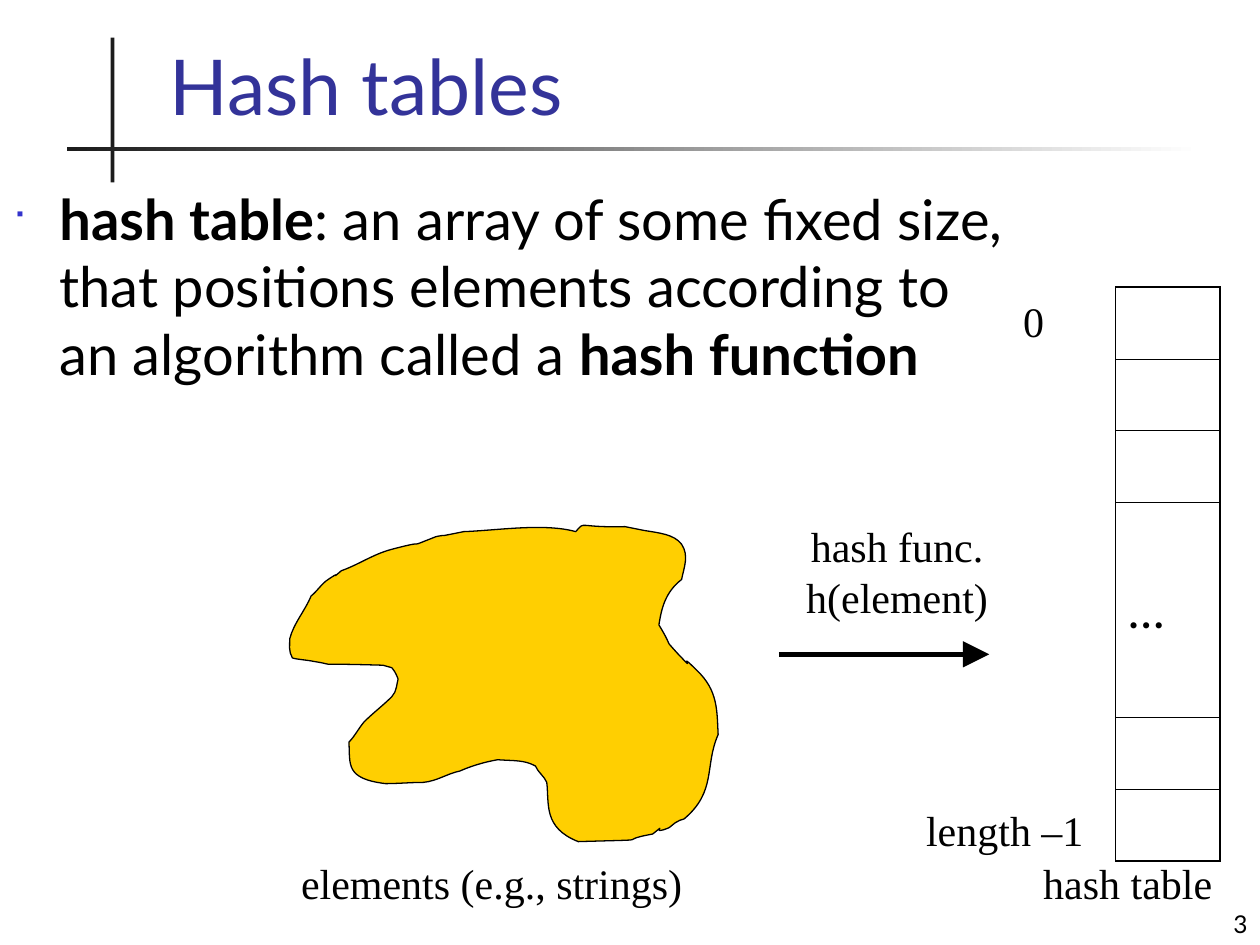
from dataclasses import dataclass

from lxml import etree
from pptx import Presentation
from pptx import util as u
from pptx.dml.color import RGBColor
from pptx.enum import shapes, text
from pptx.oxml.ns import qn

BLACK = RGBColor(0x00, 0x00, 0x00)
WHITE = RGBColor(0xFF, 0xFF, 0xFF)
CHARCOAL = RGBColor(0x1C, 0x1C, 0x1C)
TITLE_BLUE = RGBColor(0x33, 0x33, 0x99)
BULLET_BLUE = RGBColor(0x33, 0x33, 0xCC)
GOLD = RGBColor(0xFF, 0xCF, 0x01)
LEFT, CENTER, RIGHT = text.PP_ALIGN.LEFT, text.PP_ALIGN.CENTER, text.PP_ALIGN.RIGHT
TOP, MIDDLE, BOTTOM = text.MSO_ANCHOR.TOP, text.MSO_ANCHOR.MIDDLE, text.MSO_ANCHOR.BOTTOM
SANS, SERIF = "Lato", "Times New Roman"
THIN, THICK = 0.45, 1.08
ROWS = 8
GAP_ROWS = range(3, 6)
UNITS_PER_INCH = 100

ELEMENTS_START = (457, 422)
ELEMENTS_CURVES = (
    (432, 415, 395, 421, 368, 422), (363, 423, 358, 424, 353, 425),
    (350, 425, 346, 426, 346, 426), (318, 437, 345, 427, 311, 436),
    (296, 440, 285, 448, 271, 453), (259, 463, 275, 450, 259, 461),
    (254, 465, 252, 469, 247, 473), (242, 485, 233, 495, 230, 507),
    (230, 512, 229, 517, 232, 522), (232, 523, 245, 524, 249, 525),
    (274, 529, 237, 526, 304, 528), (306, 529, 309, 529, 311, 530),
    (314, 533, 316, 539, 316, 539), (315, 542, 315, 549, 311, 553),
    (304, 560, 296, 566, 289, 573), (284, 579, 282, 584, 277, 589),
    (278, 607, 274, 618, 306, 622), (316, 622, 326, 621, 336, 621),
    (347, 620, 355, 614, 365, 612), (374, 608, 384, 605, 395, 603),
    (408, 604, 416, 603, 425, 608), (427, 613, 432, 616, 434, 621),
    (436, 638, 431, 657, 459, 668), (527, 666, 485, 668, 518, 662),
    (532, 651, 514, 664, 531, 657), (533, 656, 534, 654, 536, 653),
    (538, 651, 541, 651, 543, 650), (569, 628, 559, 608, 570, 583),
    (569, 564, 570, 548, 553, 532), (536, 515, 553, 535, 541, 522),
    (537, 518, 531, 511, 531, 511), (529, 506, 526, 501, 523, 496),
    (525, 483, 528, 470, 541, 460), (543, 450, 547, 441, 541, 432),
    (535, 424, 523, 423, 511, 421), (506, 420, 496, 418, 496, 418),
    (457, 419, 465, 413, 457, 422),
)


@dataclass(frozen=True)
class Label:
    left: float
    top: float
    width: float
    height: float
    words: str
    size: float = 24
    font: str = SERIF
    color: RGBColor = BLACK
    align: text.PP_ALIGN = LEFT
    anchor: text.MSO_ANCHOR = TOP
    wrap: bool = False


LABELS = (
    Label(5.82, 17.17, 8.3, 1.27, "elements (e.g., strings)"),
    Label(18.42, 16.09, 3.89, 1.27, "length –1"),
    Label(16, 10.37, 4.17, 2.29, "hash func.\nh(element)", align=CENTER, anchor=MIDDLE),
    Label(20.78, 17.17, 3.91, 1.27, "hash table"),
    Label(3.17, 0.42, 21.67, 2.34, "Hash tables", 44, SANS, TITLE_BLUE, anchor=BOTTOM, wrap=True),
    Label(21.59, 17.78, 3.81, 1.27, "3", 14, SANS, align=RIGHT, anchor=BOTTOM, wrap=True),
)

DEFINITION = (
    ("hash table", True),
    (": an array of some fixed size, that positions elements according to"
     " an algorithm called a ", False),
    ("hash function", True),
)


def style_run(run, size: float, font: str, color: RGBColor) -> None:
    run.font.size = u.Pt(size)
    run.font.name = font
    run.font.color.rgb = color


def add_label(slide, label: Label) -> None:
    box = slide.shapes.add_textbox(*map(u.Cm, (label.left, label.top, label.width, label.height)))
    frame = box.text_frame
    frame.text = label.words
    frame.word_wrap = label.wrap
    frame.vertical_anchor = label.anchor
    if not label.wrap:
        frame.auto_size = text.MSO_AUTO_SIZE.SHAPE_TO_FIT_TEXT
    for paragraph in frame.paragraphs:
        paragraph.alignment = label.align
        for run in paragraph.runs:
            style_run(run, label.size, label.font, label.color)


def add_rule(slide, left: float, top: float, width: float, height: float):
    rule = slide.shapes.add_shape(
        shapes.MSO_SHAPE.RECTANGLE, *map(u.Cm, (left, top, width, height)))
    rule.shadow.inherit = False
    rule.line.fill.background()
    rule.fill.solid()
    rule.fill.fore_color.rgb = CHARCOAL
    return rule


def add_title_rules(slide) -> None:
    add_rule(slide, 2.23, 0.76, 0.08, 2.92)
    underline = add_rule(slide, 1.35, 2.96, 22.86, 0.08)
    underline.fill.gradient()
    underline.fill.gradient_angle = 0
    for stop, color in zip(underline.fill.gradient_stops, (CHARCOAL, WHITE)):
        stop.color.rgb = color


def bend_segments(outline, corners: list, curves: tuple) -> None:
    left, top = (min(axis) for axis in zip(*corners))
    for segment, curve in zip(list(outline._element.iter(qn("a:lnTo"))), curves):
        segment.tag = qn("a:cubicBezTo")
        bend = etree.Element(qn("a:cubicBezTo"))
        for x, y in zip(curve[::2], curve[1::2]):
            etree.SubElement(bend, qn("a:pt"), x=str(x - left), y=str(y - top))
        segment.getparent().replace(segment, bend)


def add_elements(slide) -> None:
    ends = [curve[4:] for curve in ELEMENTS_CURVES]
    builder = slide.shapes.build_freeform(*ELEMENTS_START, scale=u.Cm(2.54) / UNITS_PER_INCH)
    builder.add_line_segments(ends, close=True)
    elements = builder.convert_to_shape()
    bend_segments(elements, ends, ELEMENTS_CURVES)
    elements.shadow.inherit = False
    elements.fill.solid()
    elements.fill.fore_color.rgb = GOLD
    elements.line.color.rgb = BLACK
    elements.line.width = u.Pt(0.75)


def add_hash_arrow(slide) -> None:
    arrow = slide.shapes.add_connector(
        shapes.MSO_CONNECTOR.STRAIGHT, *map(u.Cm, (15.7, 13.19, 19.94, 13.19)))
    arrow.line.color.rgb = BLACK
    arrow.line.width = u.Pt(3)
    etree.SubElement(
        arrow.line._get_or_add_ln(), qn("a:tailEnd"), type="triangle", w="lg", len="lg")
    etree.SubElement(arrow._element.spPr, qn("a:effectLst"))


def set_borders(cell, **widths: float) -> None:
    properties = cell._tc.get_or_add_tcPr()
    for side in "LRTB":
        width = widths.get(side, 0)
        border = etree.SubElement(properties, qn(f"a:ln{side}"), w=str(u.Pt(width)))
        if width:
            fill = etree.SubElement(border, qn("a:solidFill"))
            etree.SubElement(fill, qn("a:srgbClr"), val=str(BLACK))
        else:
            etree.SubElement(border, qn("a:noFill"))
    cell.fill.background()


def fill_cell(cell, words: str, size: float, font: str, space: float) -> None:
    cell.text_frame.text = words
    paragraph = cell.text_frame.paragraphs[0]
    paragraph.space_before = u.Pt(space)
    style_run(paragraph.runs[0], size, font, BLACK)


def add_hash_table(slide) -> None:
    table = slide.shapes.add_table(ROWS, 2, *map(u.Cm, (20.37, 5.79, 4.23, 11.57))).table
    table.first_row = table.horz_banding = False
    for row in range(ROWS):
        index, slot = table.cell(row, 0), table.cell(row, 1)
        top = THICK if row == 0 else 0 if row in GAP_ROWS[1:] else THIN
        bottom = THICK if row == ROWS - 1 else 0 if row in GAP_ROWS[:-1] else THIN
        set_borders(index, R=THIN)
        set_borders(slot, L=THIN, R=THICK, T=top, B=bottom)
    first_index = table.cell(0, 0)
    first_index.vertical_anchor = MIDDLE
    fill_cell(first_index, "0", 24, SERIF, 6)
    fill_cell(table.cell(GAP_ROWS[1], 1), "…", 28, SANS, 7)


def add_definition(slide) -> None:
    frame = slide.shapes.add_textbox(*map(u.Cm, (0, 3.6, 20.75, 15.44))).text_frame
    frame.word_wrap = True
    paragraph = frame.paragraphs[0]
    paragraph.space_before = u.Pt(8)
    for words, bold in DEFINITION:
        run = paragraph.add_run()
        run.text = words
        style_run(run, 32, SANS, BLACK)
        run.font.bold = bold
    properties = paragraph._p.get_or_add_pPr()
    properties.set("marL", str(u.Cm(0.95)))
    properties.set("indent", str(u.Cm(-0.95)))
    bullet_color = etree.SubElement(properties, qn("a:buClr"))
    etree.SubElement(bullet_color, qn("a:srgbClr"), val=str(BULLET_BLUE))
    etree.SubElement(properties, qn("a:buSzPct"), val="60000")
    etree.SubElement(properties, qn("a:buFont"), typeface="Wingdings")
    etree.SubElement(properties, qn("a:buChar"), char="■")


def main() -> None:
    """Build the hash tables slide and save it."""
    deck = Presentation()
    deck.slide_width, deck.slide_height = u.Cm(25.4), u.Cm(19.05)
    slide = deck.slides.add_slide(deck.slide_layouts[6])
    for add_part in (add_title_rules, add_elements, add_hash_arrow, add_hash_table, add_definition):
        add_part(slide)
    for label in LABELS:
        add_label(slide, label)
    deck.save("out.pptx")


if __name__ == "__main__":
    main()
